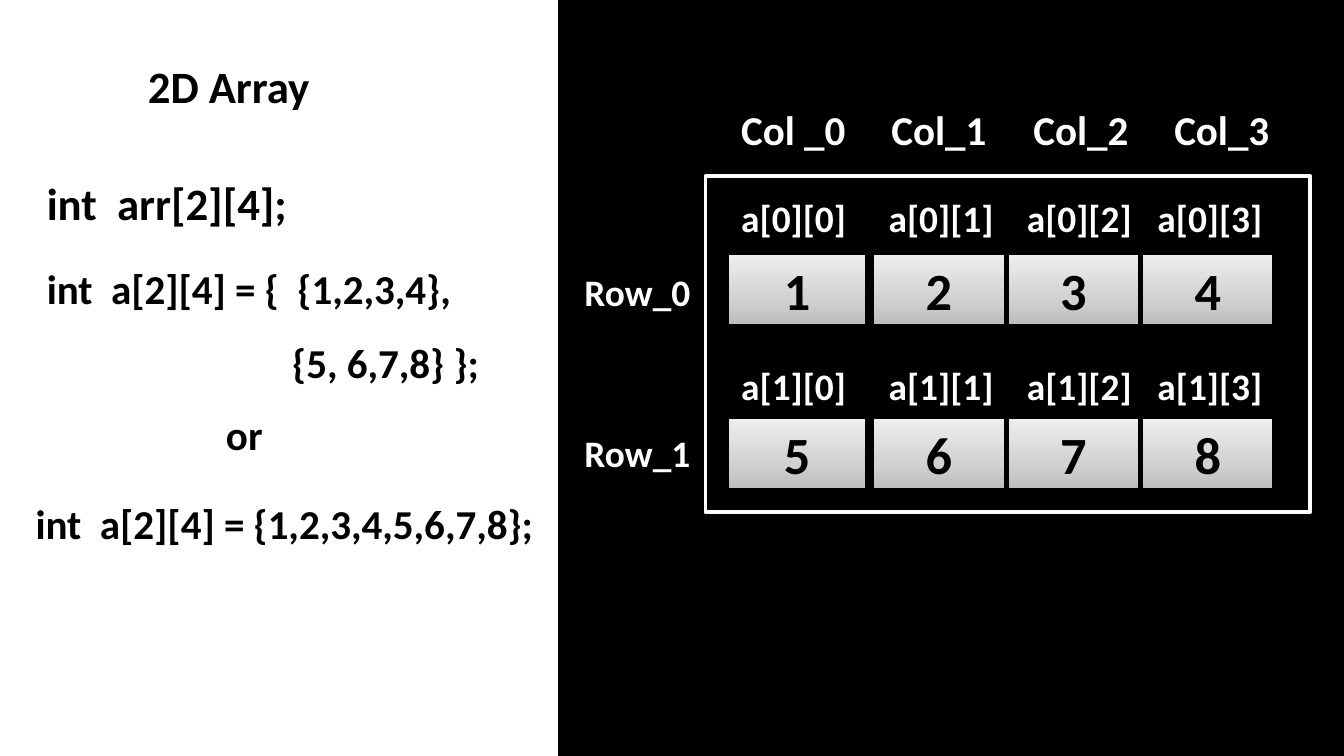
from copy import deepcopy
from dataclasses import dataclass

from lxml.etree import SubElement
from pptx import Presentation
from pptx.dml.color import RGBColor
from pptx.enum.shapes import MSO_SHAPE
from pptx.enum.text import MSO_ANCHOR, MSO_AUTO_SIZE, PP_ALIGN
from pptx.oxml.ns import qn
from pptx.util import Pt


@dataclass(frozen=True)
class Theme:
    font: str = "Calibri"
    dark: str = "000000"
    light: str = "FFFFFF"
    shades: tuple = ((0, "BDBDBD"), (0.35, "D1D1D1"), (1, "EEEEEE"))
    head: int = 24
    code: int = 22
    label: int = 20
    value: int = 28


THEME = Theme()


def write(frame, text, size, color=THEME.dark, align=PP_ALIGN.LEFT,
          anchor=MSO_ANCHOR.TOP, spacing=1.0, tabs=(), indents=()):
    """Fill a text frame, one paragraph a line; indents holds one per line."""
    frame.word_wrap = True
    frame.auto_size = MSO_AUTO_SIZE.NONE
    frame.vertical_anchor = anchor
    for i, line in enumerate(text.split("\n")):
        para = frame.paragraphs[0] if i == 0 else frame.add_paragraph()
        para.alignment = align
        para.line_spacing = spacing
        props = para._p.get_or_add_pPr()
        if indents:
            props.set("marL", str(Pt(indents[i])))
            props.set("indent", "0")
        if tabs:
            stops = SubElement(props, qn("a:tabLst"))
            for tab in tabs:
                SubElement(stops, qn("a:tab"), pos=str(Pt(tab)), algn="l")
        run = para.add_run()
        run.text = line
        font = run.font
        font.name, font.size, font.bold = THEME.font, Pt(size), True
        font.color.rgb = RGBColor.from_string(color)


class Board:
    def __init__(self, deck, theme):
        self.theme = theme
        self.slide = deck.slides.add_slide(deck.slide_layouts[5])

    def title(self, text, x, y, w, h, **style):
        shape = self.slide.shapes.title
        shape.left, shape.top, shape.width, shape.height = map(Pt, (x, y, w, h))
        write(shape.text_frame, text, self.theme.head, **style)

    def text(self, text, x, y, w, h, size, **style):
        box = self.slide.shapes.add_textbox(*map(Pt, (x, y, w, h)))
        write(box.text_frame, text, size, **style)

    def rect(self, x, y, w, h, line, width, fill=None):
        shape = self.slide.shapes.add_shape(
            MSO_SHAPE.RECTANGLE, *map(Pt, (x, y, w, h)))
        shape.shadow.inherit = False
        shape.line.color.rgb = RGBColor.from_string(line)
        shape.line.width = Pt(width)
        if fill:
            shape.fill.solid()
            shape.fill.fore_color.rgb = RGBColor.from_string(fill)
        else:
            shape.fill.background()
        return shape

    def cell(self, text, x, y, w, h):
        shape = self.rect(x, y, w, h, self.theme.dark, 0.75)
        fill = shape.fill
        fill.gradient()
        fill.gradient_angle = 90
        # The default gradient has two stops: add a middle one
        stops = shape._element.spPr.find(".//" + qn("a:gsLst"))
        stops.insert(1, deepcopy(stops[0]))
        for stop, (place, color) in zip(fill.gradient_stops, self.theme.shades):
            stop.position = place
            stop.color.rgb = RGBColor.from_string(color)
        write(shape.text_frame, text, self.theme.value,
              align=PP_ALIGN.CENTER, anchor=MSO_ANCHOR.MIDDLE)


def main():
    deck = Presentation()
    deck.slide_width, deck.slide_height = Pt(720), Pt(405)
    board = Board(deck, THEME)

    # Code on the left
    board.title("2D Array", 0, 28, 300, 36, indents=[72])
    board.text("int  arr[2][4];", 18, 76, 144, 51, THEME.head, spacing=1.5)
    board.text("int  a[2][4] = {  {1,2,3,4},\n{5, 6,7,8} };",
               18, 124.5, 258, 87, THEME.code, spacing=1.5, indents=[0, 131.5])
    board.text("or", 114, 202.5, 42, 47, THEME.code, spacing=1.5)
    board.text("int  a[2][4] = {1,2,3,4,5,6,7,8};",
               12, 250.5, 288, 47, THEME.code, spacing=1.5)

    # Dark panel with the column heads
    board.rect(300, 0, 420, 405, THEME.dark, 2, THEME.dark)
    board.text("Col _0\tCol_1\tCol_2\tCol_3", 390, 52.5, 306, 34, THEME.code,
               color=THEME.light, tabs=(80.5, 156.5, 232))

    # Array rows: row name, index labels and cells
    columns = ((390, 74), (468, 70), (540, 70), (612, 70))
    rows = ((101, 136, 140.5), (191, 224, 227))
    for r, (index_y, cell_y, name_y) in enumerate(rows):
        board.text(f"Row_{r}", 306, name_y, 84, 32, THEME.label,
                   color=THEME.light)
        names = "\t".join(f"a[{r}][{c}]" for c in range(len(columns)))
        board.text(names, 390, index_y, 306, 32, THEME.label,
                   color=THEME.light, tabs=(79, 153, 223))
        for c, (x, w) in enumerate(columns):
            board.cell(str(r * len(columns) + c + 1), x, cell_y, w, 38)

    # Frame around the array
    board.rect(378, 94.5, 324, 180, THEME.light, 2)

    deck.save("out.pptx")


if __name__ == "__main__":
    main()
